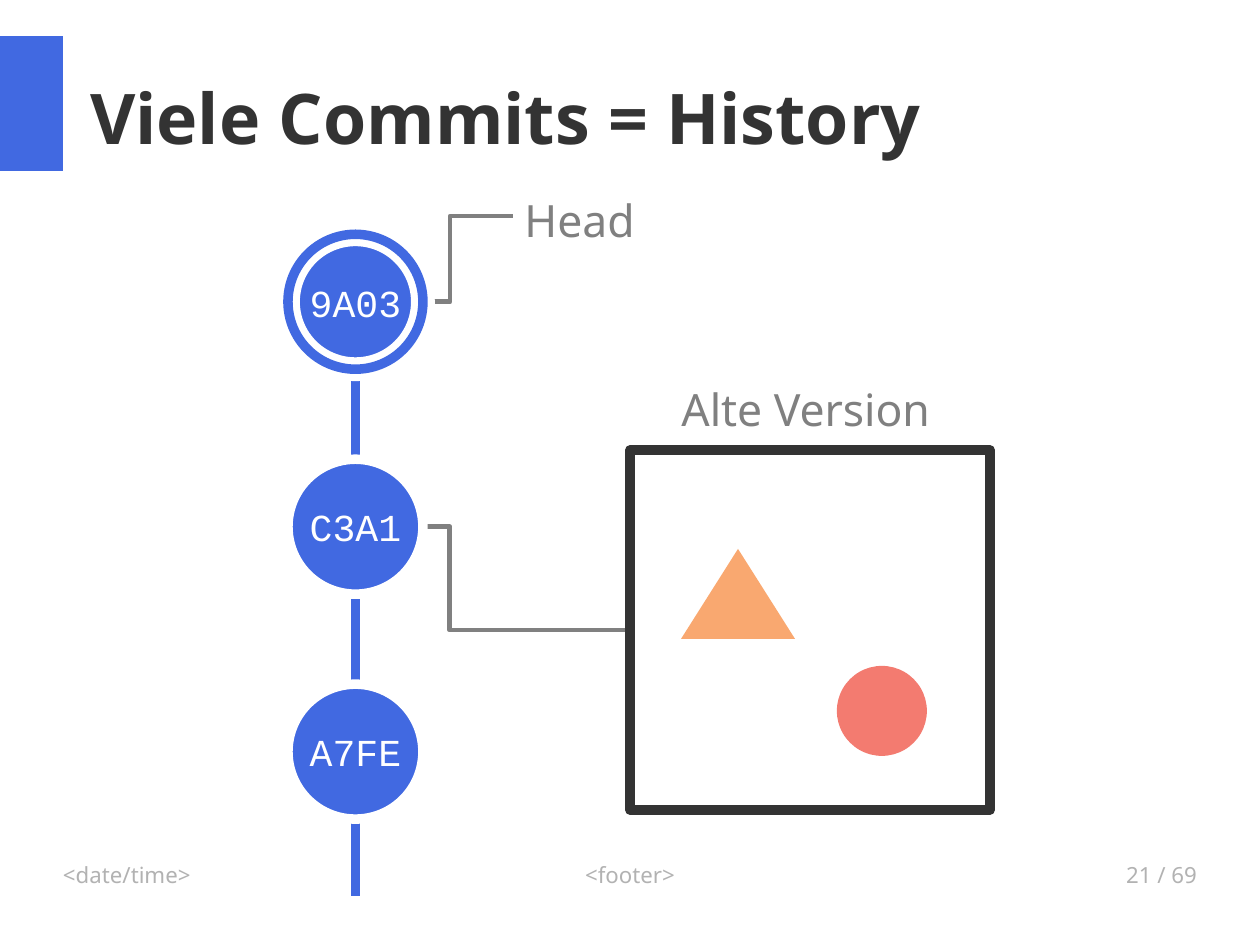
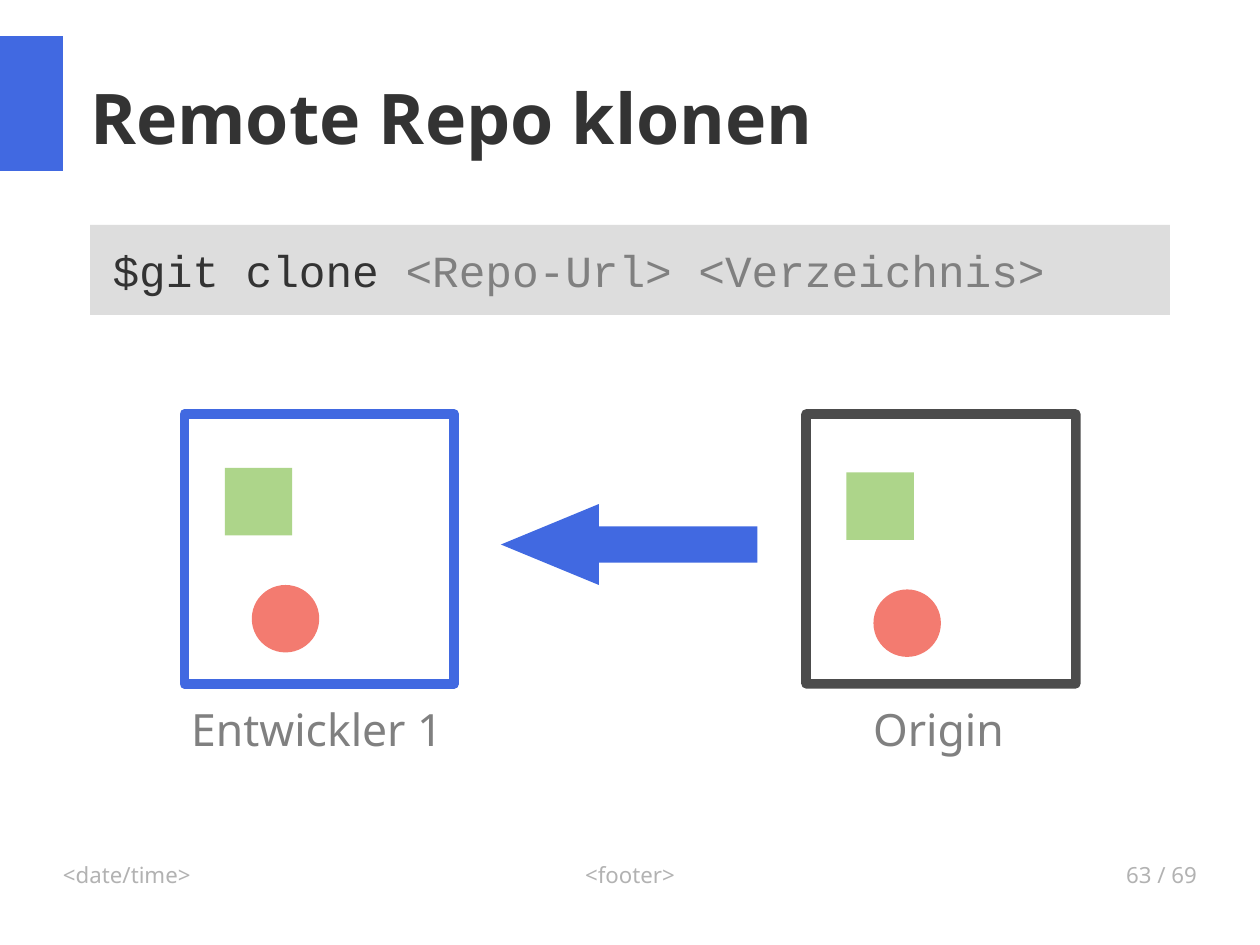
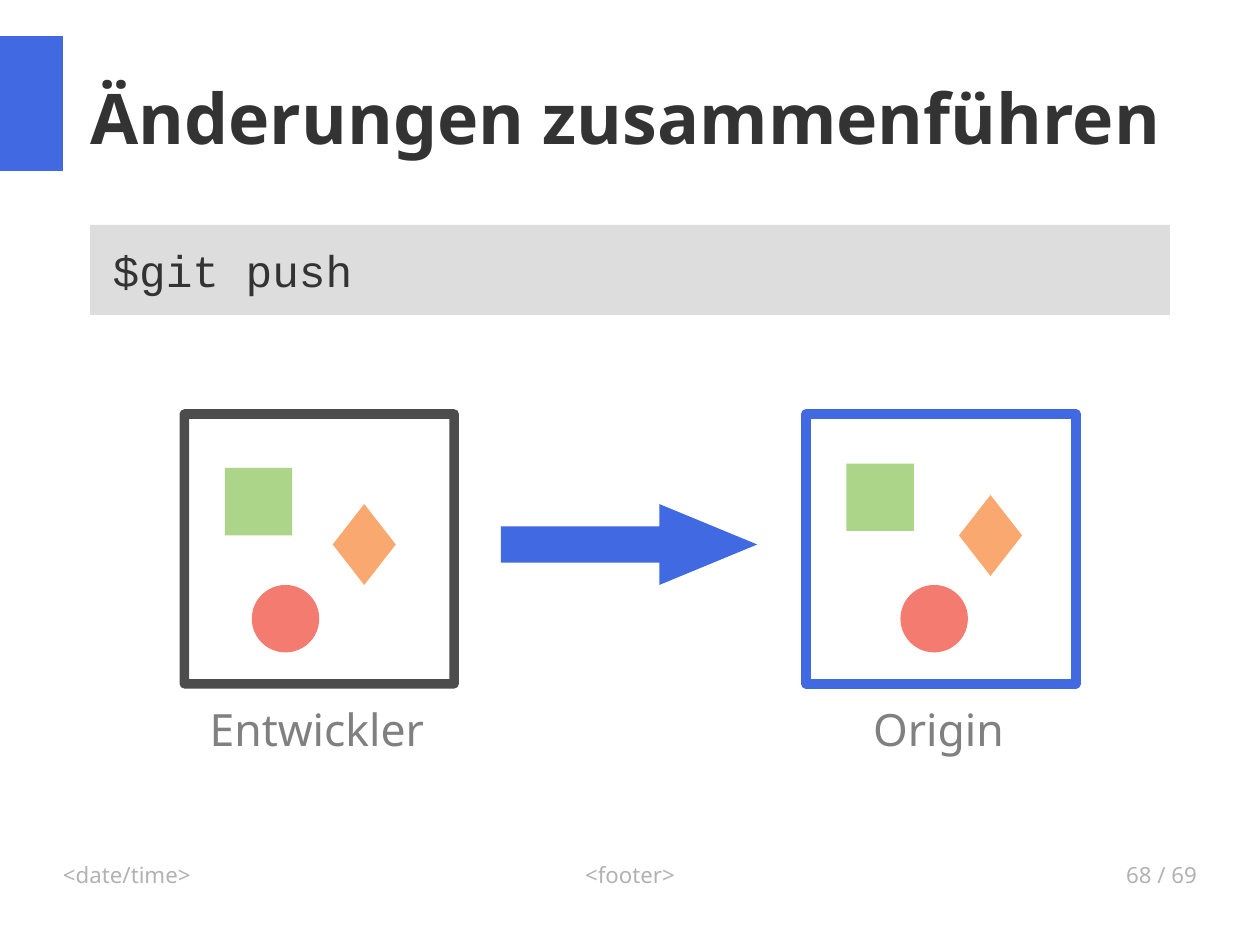
from lxml import etree
from pptx import Presentation
from pptx.dml.color import RGBColor
from pptx.enum.shapes import MSO_CONNECTOR, MSO_SHAPE
from pptx.enum.text import MSO_ANCHOR, PP_ALIGN
from pptx.oxml.ns import qn
from pptx.util import Pt

RECT, OVAL = MSO_SHAPE.RECTANGLE, MSO_SHAPE.OVAL
DIAMOND, TRIANGLE = MSO_SHAPE.DIAMOND, MSO_SHAPE.ISOSCELES_TRIANGLE
ARROW = MSO_SHAPE.RIGHT_ARROW
STRAIGHT, ELBOW = MSO_CONNECTOR.STRAIGHT, MSO_CONNECTOR.ELBOW
LEFT, CENTER, RIGHT = PP_ALIGN.LEFT, PP_ALIGN.CENTER, PP_ALIGN.RIGHT
TOP, MIDDLE, BOTTOM = MSO_ANCHOR.TOP, MSO_ANCHOR.MIDDLE, MSO_ANCHOR.BOTTOM

COLORS = {
    "blue": "4169E1", "dark": "333333", "gray": "808080", "footer": "B2B2B2",
    "bar": "DDDDDD", "white": "FFFFFF", "black": "000000",
    "green": "ADD58A", "red": "F37B70", "orange": "F9A870",
}
SANS, MONO = "Noto Sans", "Courier New"
WIDTH, HEIGHT = 793.7, 595.3
SLIDE_COUNT = 69
COMMIT_X, COMMIT_Y, COMMIT_SIZE, COMMIT_PITCH = 181.4, 147.6, 85, 141.7
REPO_LEFTS, REPO_TOP, REPO_SIZE = (116.1, 507.7), 260.8, 170
PIECES = {
    "square": (RECT, 42.5, 42.5, "green"),
    "circle": (OVAL, 42.5, 42.5, "red"),
    "diamond": (DIAMOND, 39.7, 51, "orange"),
}


def rgb(name):
    return RGBColor.from_string(COLORS[name])


def style_line(line, color, width, alpha=None):
    line.color.rgb = rgb(color)
    line.width = Pt(width)
    ln = line._get_or_add_ln()
    etree.SubElement(ln, qn("a:round"))
    if alpha:
        srgb = ln.find(".//" + qn("a:srgbClr"))
        etree.SubElement(srgb, qn("a:alpha")).set("val", str(alpha * 1000))


def add_shape(shapes, kind, x, y, w, h, fill=None, line=None, width=6, alpha=None):
    shape = shapes.add_shape(kind, Pt(x), Pt(y), Pt(w), Pt(h))
    shape.shadow.inherit = False
    if fill:
        shape.fill.solid()
        shape.fill.fore_color.rgb = rgb(fill)
    else:
        shape.fill.background()
    if line:
        style_line(shape.line, line, width, alpha)
    else:
        shape.line.fill.background()
    return shape


def set_text(shape, runs, size, font=SANS, align=LEFT, anchor=MIDDLE,
             margins=(0, 0), bold=False, wrap=True):
    tf = shape.text_frame
    tf.word_wrap = wrap
    tf.vertical_anchor = anchor
    tf.margin_left = tf.margin_right = Pt(margins[0])
    tf.margin_top = tf.margin_bottom = Pt(margins[1])
    p = tf.paragraphs[0]
    p.alignment = align
    for text, color in runs:
        r = p.add_run()
        r.text = text
        r.font.name = font
        r.font.size = Pt(size)
        r.font.bold = bold
        r.font.color.rgb = rgb(color)


def add_text(s, x, y, w, h, text, color, size, **style):
    box = s.shapes.add_textbox(Pt(x), Pt(y), Pt(w), Pt(h))
    set_text(box, [(text, color)], size, **style)


def add_label(s, x, y, w, h, text, **style):
    add_text(s, x, y, w, h, text, "gray", 28, margins=(7.2, 3.6), **style)


def add_line(s, kind, x1, y1, x2, y2, color, width, bend=None):
    line = s.shapes.add_connector(kind, Pt(x1), Pt(y1), Pt(x2), Pt(y2))
    style_line(line.line, color, width)
    sp_pr = line._element.spPr
    etree.SubElement(sp_pr, qn("a:effectLst"))
    if bend:
        guides = sp_pr.find(".//" + qn("a:avLst"))
        guide = etree.SubElement(guides, qn("a:gd"))
        guide.set("name", "adj1")
        guide.set("fmla", f"val {round(bend * 100000)}")


def add_slide(prs, title, number):
    s = prs.slides.add_slide(prs.slide_layouts[6])
    add_shape(s.shapes, RECT, 0, 22.7, 39.7, 85, "blue")
    footers = (
        (39.7, 185, "<date/time>", LEFT),
        (271.3, 251.2, "<footer>", CENTER),
        (569, 185, f"{number} / {SLIDE_COUNT}", RIGHT),
    )
    for x, w, text, align in footers:
        add_text(s, x, 542.3, w, 41, text, "footer", 14, align=align, anchor=TOP)
    add_text(s, 56.7, 23.8, 697, 99.2, title, "dark", 44, bold=True)
    return s


def add_commit(s, y, name, outline):
    commit = add_shape(s.shapes, OVAL, COMMIT_X, y, COMMIT_SIZE, COMMIT_SIZE,
                       "blue", "white", outline)
    set_text(commit, [(name, "white")], 24, MONO, CENTER, wrap=False)


def add_history(s, names):
    center, right = COMMIT_X + COMMIT_SIZE / 2, COMMIT_X + COMMIT_SIZE
    tops = [COMMIT_Y + i * COMMIT_PITCH for i in range(len(names))]
    head_y, old_y = (y + COMMIT_SIZE / 2 for y in tops[:2])
    add_line(s, ELBOW, right, head_y, 323.3, 136.1, "gray", 3, 0.3)
    add_line(s, ELBOW, right, old_y, 396.9, 396.9, "gray", 3, 0.13)
    for y in tops:
        end = min(y + COMMIT_PITCH, 564.5)
        add_line(s, STRAIGHT, center, y + COMMIT_SIZE, center, end, "blue", 6)
    for y, name in zip(tops, names):
        add_commit(s, y, name, 15 if y == COMMIT_Y else 6)
    add_shape(s.shapes, OVAL, COMMIT_X, COMMIT_Y, COMMIT_SIZE, COMMIT_SIZE, line="blue")


def add_old_version(s):
    group = s.shapes.add_group_shape().shapes
    add_shape(group, RECT, 396.9, 283.5, 226.8, 226.8, line="dark")
    add_shape(group, OVAL, 527.2, 419.5, 56.7, 56.7, "red")
    add_shape(group, TRIANGLE, 429, 345.8, 71.8, 56.7, "orange")
    add_label(s, 385.5, 232.5, 244, 45.4, "Alte Version", align=CENTER, anchor=BOTTOM)


def add_command(s, runs):
    bar = add_shape(s.shapes, RECT, 56.7, 141.7, 680.3, 56.7, "bar")
    set_text(bar, runs, 28, MONO, margins=(14.2, 0))


def add_repo(s, left, name, active, pieces):
    color, alpha = ("blue", None) if active else ("black", 70)
    add_shape(s.shapes, RECT, left, REPO_TOP, REPO_SIZE, REPO_SIZE, line=color, alpha=alpha)
    add_label(s, left - 2.9, REPO_TOP + REPO_SIZE, 172.8, 56.7, name, align=CENTER)
    for piece, (dx, dy) in pieces.items():
        kind, w, h, fill = PIECES[piece]
        add_shape(s.shapes, kind, left + dx, REPO_TOP + dy, w, h, fill)


def add_arrow(s, rotation=0):
    arrow = add_shape(s.shapes, ARROW, 315.5, 317.5, 161.5, 51, "blue")
    arrow.adjustments[0] = 0.45
    arrow.adjustments[1] = 1.21
    arrow.rotation = rotation


def build_history_slide(prs):
    s = add_slide(prs, "Viele Commits = History", 21)
    add_history(s, ["9A03", "C3A1", "A7FE"])
    add_label(s, 323.3, 113.6, 244, 45.4, "Head", anchor=BOTTOM)
    add_old_version(s)


def build_clone_slide(prs):
    s = add_slide(prs, "Remote Repo klonen", 63)
    add_command(s, [("$git clone ", "dark"), ("<Repo-Url> <Verzeichnis>", "gray")])
    add_repo(s, REPO_LEFTS[0], "Entwickler 1", True,
             {"square": (25.5, 34), "circle": (42.5, 107.7)})
    add_repo(s, REPO_LEFTS[1], "Origin", False,
             {"square": (25.5, 36.8), "circle": (42.5, 110.5)})
    add_arrow(s, 180)


def build_push_slide(prs):
    s = add_slide(prs, "Änderungen zusammenführen", 68)
    add_command(s, [("$git push", "dark")])
    add_repo(s, REPO_LEFTS[0], "Entwickler", False,
             {"square": (25.5, 34), "circle": (42.5, 107.7), "diamond": (93.5, 56.7)})
    add_repo(s, REPO_LEFTS[1], "Origin", True,
             {"square": (25.5, 31.2), "circle": (59.5, 107.7), "diamond": (96.4, 51)})
    add_arrow(s)


def main():
    prs = Presentation()
    prs.slide_width, prs.slide_height = Pt(WIDTH), Pt(HEIGHT)
    build_history_slide(prs)
    build_clone_slide(prs)
    build_push_slide(prs)
    prs.save("out.pptx")


if __name__ == "__main__":
    main()
